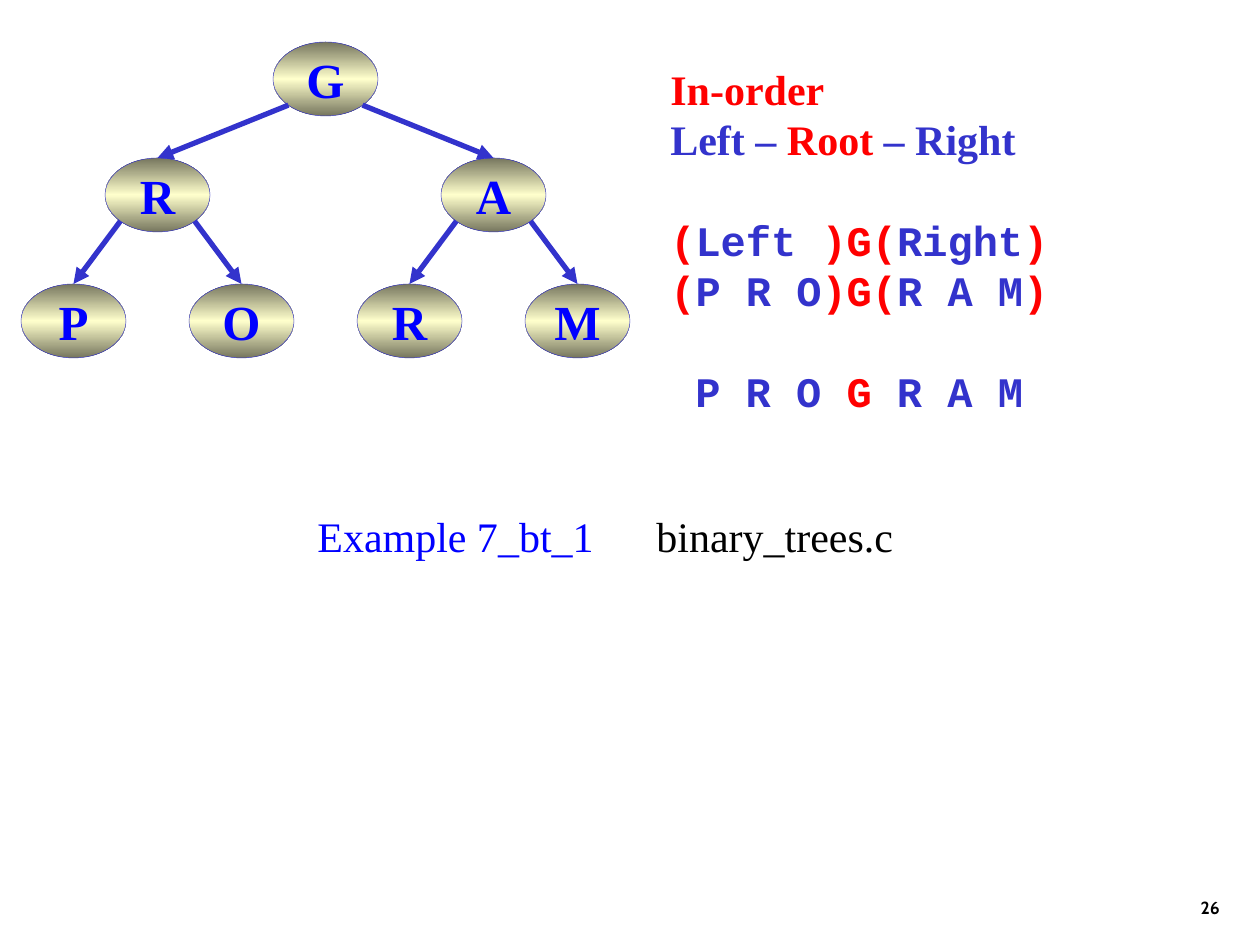
from copy import deepcopy

from lxml.etree import SubElement
from pptx import Presentation
from pptx.dml.color import RGBColor
from pptx.enum.shapes import MSO_CONNECTOR, MSO_SHAPE
from pptx.enum.text import MSO_ANCHOR, PP_ALIGN
from pptx.oxml.ns import qn
from pptx.util import Pt

PX = 914400 // 126
COLORS = {"red": "FF0000", "indigo": "3333CC", "blue": "0000FF", "black": "000000",
          "white": "FFFFFF", "cream": "FFFFCC", "olive": "76765E"}
SERIF, MONO, SANS = "Times New Roman", "Courier New", "Cabin"

# Tree: letter, column slot, level, index of the parent node
NODES = [("G", 1.5, 0, None), ("R", 0.5, 1, 0), ("A", 2.5, 1, 0),
         ("P", 0, 2, 1), ("O", 1, 2, 1), ("R", 2, 2, 2), ("M", 3, 2, 2)]
LEVEL_TOPS = [42, 158, 284]
TREE_LEFT, SLOT_STEP, NODE_W, NODE_H = 21, 168, 105, 74

# Traversal lines: font, lines skipped before, left indent in px, runs
TRAVERSAL = [
    (SERIF, 0, 0, [("In-order", "red")]),
    (SERIF, 0, 0, [("Left – ", "indigo"), ("Root", "red"), (" – Right", "indigo")]),
    (MONO, 1, 0, [("(", "red"), ("Left ", "indigo"), (")G(", "red"),
                  ("Right", "indigo"), (")", "red")]),
    (MONO, 0, 0, [("(", "red"), ("P R O", "indigo"), (")G(", "red"),
                  ("R A M", "indigo"), (")", "red")]),
    (MONO, 1, 25, [("P R O ", "indigo"), ("G", "red"), (" R A M", "indigo")]),
]
EXAMPLE = [("Example 7_bt_1\t", "blue"), ("binary_trees.c", "black")]
EXAMPLE_TAB = 339
PAGE_NUMBER = "26"


def px(*lengths):
    return [round(length * PX) for length in lengths]


def rgb(name):
    return RGBColor.from_string(COLORS[name])


def write(paragraph, runs, size, font, bold=True):
    paragraph.line_spacing = Pt(size * 1.2)
    for text, color in runs:
        run = paragraph.add_run()
        run.text = text
        run.font.size, run.font.name, run.font.bold = Pt(size), font, bold
        run.font.color.rgb = rgb(color)


def shade(shape):
    """Vertical gradient, dark at both edges and light in the middle."""
    shape.fill.gradient()
    shape.fill.gradient_angle = 90
    stops = shape._element.spPr.find(qn("a:gradFill")).find(qn("a:gsLst"))
    stops.insert(1, deepcopy(stops[0]))
    for stop, position, color in zip(shape.fill.gradient_stops, (0, 0.5, 1),
                                     ("olive", "cream", "olive")):
        stop.position = position
        stop.color.rgb = rgb(color)


def add_node(shapes, letter, slot, level):
    node = shapes.add_shape(MSO_SHAPE.OVAL, *px(
        TREE_LEFT + slot * SLOT_STEP, LEVEL_TOPS[level], NODE_W, NODE_H))
    node.shadow.inherit = False
    shade(node)
    node.line.color.rgb = rgb("indigo")
    node.line.width = Pt(0.25)
    frame = node.text_frame
    frame.word_wrap = False
    frame.vertical_anchor = MSO_ANCHOR.MIDDLE
    frame.paragraphs[0].alignment = PP_ALIGN.CENTER
    write(frame.paragraphs[0], [(letter, "blue")], 28, SERIF)
    return node


def add_branch(shapes, parent, child):
    # Leave the parent at 45° on its outline, enter the child at the top
    side = -1 if child.left < parent.left else 1
    diagonal = 0.5 ** 0.5
    start_x = round(parent.left + parent.width / 2 * (1 + side * diagonal))
    start_y = round(parent.top + parent.height / 2 * (1 + diagonal))
    branch = shapes.add_connector(MSO_CONNECTOR.STRAIGHT, start_x, start_y,
                                  child.left + child.width // 2, child.top)
    branch.end_connect(child, 0)
    branch.line.color.rgb = rgb("indigo")
    branch.line.width = Pt(3)
    SubElement(branch.line._get_or_add_ln(), qn("a:tailEnd"), type="triangle")
    SubElement(branch._element.spPr, qn("a:effectLst"))


prs = Presentation()
prs.slide_width, prs.slide_height = px(1260, 945)
shapes = prs.slides.add_slide(prs.slide_layouts[6]).shapes

# Page number
page_box = shapes.add_textbox(*px(970, 861, 262, 63)).text_frame
page_box.word_wrap = True
page_box.vertical_anchor = MSO_ANCHOR.BOTTOM
page_box.paragraphs[0].alignment = PP_ALIGN.RIGHT
write(page_box.paragraphs[0], [(PAGE_NUMBER, "black")], 10, SANS)

# Binary tree
nodes = [add_node(shapes, letter, slot, level) for letter, slot, level, _ in NODES]
for child, (*_, parent_index) in zip(nodes, NODES):
    if parent_index is not None:
        add_branch(shapes, nodes[parent_index], child)

# In-order traversal
traversal_box = shapes.add_textbox(*px(658, 57, 403, 365)).text_frame
traversal_box.word_wrap = False
for index, (font, skipped, indent, runs) in enumerate(TRAVERSAL):
    line = traversal_box.add_paragraph() if index else traversal_box.paragraphs[0]
    line.alignment = PP_ALIGN.LEFT
    if indent:
        line._p.get_or_add_pPr().set("marL", str(indent * PX))
    if skipped:
        line.space_before = Pt(skipped * 28.8)
    write(line, runs, 24, font)

# Example reference
example = shapes.add_shape(MSO_SHAPE.RECTANGLE, *px(305, 504, 662, 63))
example.shadow.inherit = False
example.fill.solid()
example.fill.fore_color.rgb = rgb("white")
example.line.fill.background()
example.text_frame.vertical_anchor = MSO_ANCHOR.TOP
reference = example.text_frame.paragraphs[0]
reference.alignment = PP_ALIGN.LEFT
write(reference, EXAMPLE, 24, SERIF, bold=False)
tabs = SubElement(reference._p.get_or_add_pPr(), qn("a:tabLst"))
SubElement(tabs, qn("a:tab"), pos=str(EXAMPLE_TAB * PX), algn="l")

prs.save("out.pptx")
